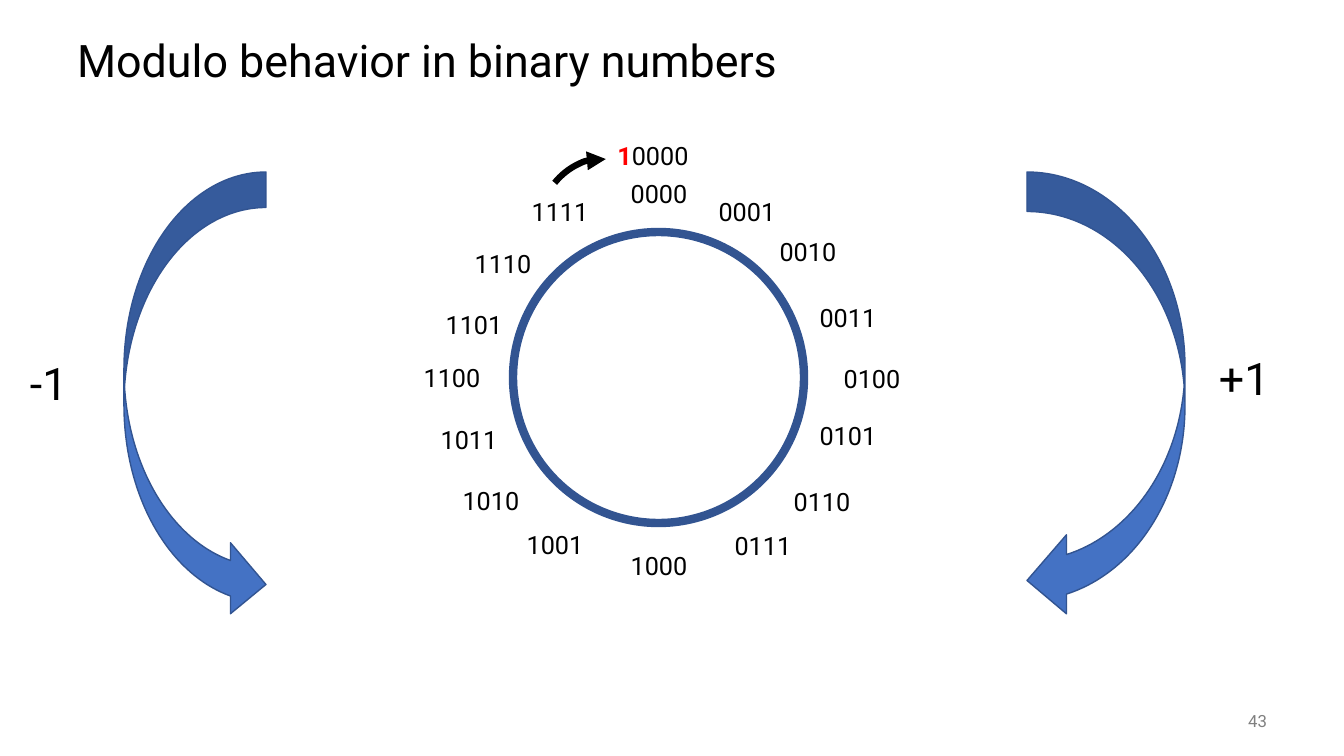
from lxml import etree
from pptx import Presentation
from pptx.dml.color import RGBColor
from pptx.enum.shapes import MSO_SHAPE
from pptx.enum.text import MSO_ANCHOR, MSO_AUTO_SIZE, PP_ALIGN
from pptx.oxml.ns import qn
from pptx.util import Pt

LEFT, MID, RIGHT = PP_ALIGN.LEFT, PP_ALIGN.CENTER, PP_ALIGN.RIGHT
TOP, CENTER = MSO_ANCHOR.TOP, MSO_ANCHOR.MIDDLE
FIXED, GROW = MSO_AUTO_SIZE.NONE, MSO_AUTO_SIZE.SHAPE_TO_FIT_TEXT
OVAL, ARC, CURVED = MSO_SHAPE.OVAL, MSO_SHAPE.ARC, MSO_SHAPE.CURVED_LEFT_ARROW

BLACK = RGBColor(0, 0, 0)
RED = RGBColor(255, 0, 0)
GRAY = RGBColor(128, 128, 128)
BLUE = RGBColor(0x44, 0x72, 0xC4)
NAVY = RGBColor(0x32, 0x54, 0x91)

# Content, lengths in px
WIDE, HIGH = 1344, 756
EMU = 12192000 / WIDE
TITLE = "Modulo behavior in binary numbers"
TITLE_BOX = (67, 25, 1210, 76)
PAGE = ("43", (1176, 701, 101, 40))
RING = (513, 232, 291, 291)
LABEL = (82, 40)
# Label centres, from 0000 clockwise to 1111
SPOTS = [
    (659, 193), (747, 211), (808, 251), (848, 317),
    (872, 378), (848, 435), (822, 501), (763, 545),
    (659, 565), (555, 544), (491, 500), (469, 439),
    (452, 377), (474, 324), (503, 263), (560, 211),
]
# Text, text box, arrow box, mirrored
STEPS = [
    ("+1", (1209, 346, 159, 65), (1027, 172, 158, 448), False),
    ("-1", (20, 351, 143, 65), (124, 172, 142, 448), True),
]
CARRY = [("1", {"color": RED, "bold": True}), ("0000", {})]
CARRY_BOX = (577, 135, 152, 40)
CARRY_ARC = (533, 166, 114, 91)

deck = Presentation()
deck.slide_width, deck.slide_height = round(WIDE * EMU), round(HIGH * EMU)
slide = deck.slides.add_slide(deck.slide_layouts[5])


def emu(box):
    return [round(n * EMU) for n in box]


def write(shape, runs, size, align=LEFT, color=BLACK, fit=GROW, anchor=TOP):
    frame = shape.text_frame
    looks = {"word_wrap": True, "auto_size": fit, "vertical_anchor": anchor}
    for key, val in looks.items():
        setattr(frame, key, val)
    para = frame.paragraphs[0]
    para.alignment = align
    for text, extra in runs:
        run = para.add_run()
        run.text = text
        font = {"name": "Roboto", "size": Pt(size), "bold": False}
        font.update(extra)
        run.font.color.rgb = font.pop("color", color)
        for key, val in font.items():
            setattr(run.font, key, val)
    return para


def label(home, box, runs, size, **look):
    write(home.add_textbox(*emu(box)), runs, size, **look)


def draw(home, kind, box, line, width, fill=None):
    shape = home.add_shape(kind, *emu(box))
    shape.shadow.inherit = False
    if fill is None:
        shape.fill.background()
    else:
        shape.fill.solid()
        shape.fill.fore_color.rgb = fill
    shape.line.color.rgb = line
    shape.line.width = Pt(width)
    return shape


# Title and page number
title = slide.shapes.title
title.left, title.top, title.width, title.height = emu(TITLE_BOX)
head = write(title, [(TITLE, {})], 32, fit=FIXED, anchor=CENTER)
head.line_spacing = 0.9
label(slide.shapes, PAGE[1], [(PAGE[0], {})], 12,
      align=RIGHT, color=GRAY, fit=FIXED, anchor=CENTER)

# Ring of four-bit numbers
ring = slide.shapes.add_group_shape().shapes
draw(ring, OVAL, RING, NAVY, 6)
w, h = LABEL
for num, (x, y) in enumerate(SPOTS):
    label(ring, (x - w / 2, y - h / 2, w, h),
          [(format(num, "04b"), {})], 18, align=MID)

# Step arrows at both sides
for text, box, bend, flip in STEPS:
    arrow = draw(slide.shapes, CURVED, bend, NAVY, 1, BLUE)
    if flip:
        arrow.element.spPr.find(qn("a:xfrm")).set("flipH", "1")
    label(slide.shapes, box, [(text, {})], 32)

# Carry into the fifth bit
arc = draw(slide.shapes, ARC, CARRY_ARC, BLACK, 4.5)
arc.rotation = 309.1
arc.adjustments[0], arc.adjustments[1] = 162, 202.61
outline = arc.element.spPr.find(qn("a:ln"))
etree.SubElement(outline, qn("a:tailEnd"), type="triangle")
label(slide.shapes, CARRY_BOX, CARRY, 18, align=MID)

deck.save("out.pptx")
